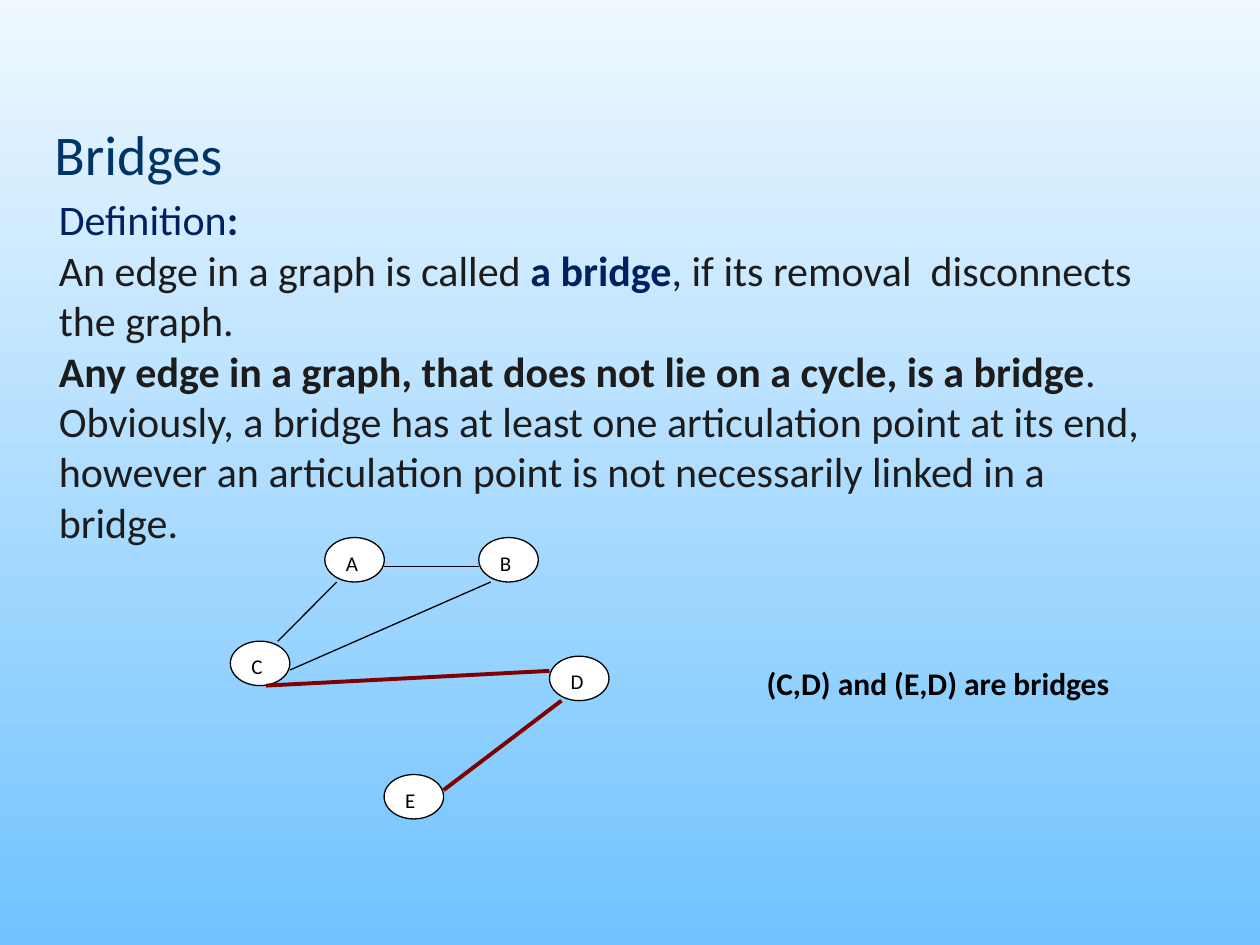
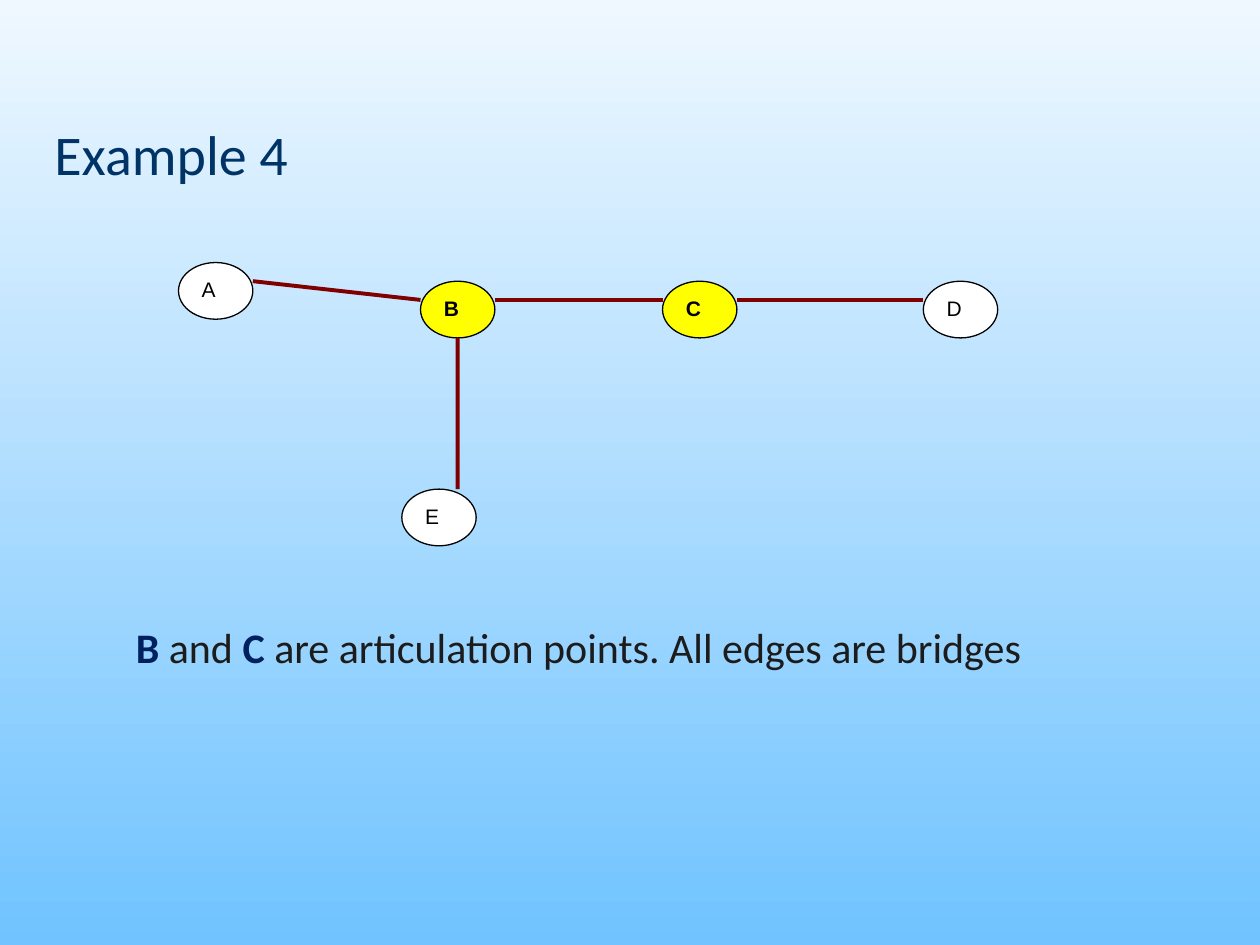
from dataclasses import dataclass

from lxml.etree import SubElement
from pptx import Presentation
from pptx.dml.color import RGBColor
from pptx.enum.shapes import MSO_CONNECTOR, MSO_SHAPE
from pptx.enum.text import MSO_ANCHOR, PP_ALIGN
from pptx.oxml.ns import qn
from pptx.util import Pt


@dataclass(frozen=True)
class Theme:
    sky_top: str = "EFF8FF"
    sky_bottom: str = "70C3FF"
    title: str = "003366"
    term: str = "002060"
    body: str = "1C1C1C"
    ink: str = "000000"
    bridge: str = "800000"
    node: str = "FFFFFF"
    articulation: str = "FFFF00"
    font: str = "Calibri"
    title_size: int = 32
    body_size: int = 24
    label_size: int = 18
    node_size: int = 12
    thin: float = 0.75
    thick: float = 2.25


theme = Theme()


def write_text(shape, paragraphs, size, font=theme.font, anchor=MSO_ANCHOR.TOP, wrap=True):
    """Fill a shape with paragraphs, each a list of (text, colour, bold) runs."""
    frame = shape.text_frame
    frame.word_wrap = wrap
    frame.vertical_anchor = anchor
    for index, runs in enumerate(paragraphs):
        paragraph = frame.add_paragraph() if index else frame.paragraphs[0]
        paragraph.alignment = PP_ALIGN.LEFT
        for text, colour, bold in runs:
            run = paragraph.add_run()
            run.text = text
            run.font.name = font
            run.font.size = Pt(size)
            run.font.bold = bold
            run.font.color.rgb = RGBColor.from_string(colour)


def draw_graph(slide, nodes, edges, node_size, font, marked=()):
    """Draw named nodes; an edge joins points given as fractions of its two nodes."""
    width, height = node_size
    for name, (left, top) in nodes.items():
        shape = slide.shapes.add_shape(
            MSO_SHAPE.OVAL, Pt(left), Pt(top), Pt(width), Pt(height))
        shape.shadow.inherit = False
        shape.fill.solid()
        shape.fill.fore_color.rgb = RGBColor.from_string(
            theme.articulation if name in marked else theme.node)
        shape.line.color.rgb = RGBColor.from_string(theme.ink)
        shape.line.width = Pt(theme.thin)
        write_text(shape, [[(name, theme.ink, name in marked)]], theme.node_size, font=font)

    for start, start_at, end, end_at, is_bridge in edges:
        points = [
            Pt(nodes[name][axis] + at[axis] * node_size[axis])
            for name, at in ((start, start_at), (end, end_at))
            for axis in (0, 1)
        ]
        connector = slide.shapes.add_connector(MSO_CONNECTOR.STRAIGHT, *points)
        connector.line.color.rgb = RGBColor.from_string(
            theme.bridge if is_bridge else theme.ink)
        connector.line.width = Pt(theme.thick if is_bridge else theme.thin)
        SubElement(connector._element.spPr, qn("a:effectLst"))


presentation = Presentation()
presentation.slide_width = Pt(720)
presentation.slide_height = Pt(540)

# Shared background and title
slides = []
for title in ("Bridges", "Example 4"):
    slide = presentation.slides.add_slide(presentation.slide_layouts[6])
    fill = slide.background.fill
    fill.gradient()
    fill.gradient_angle = 270
    for stop, colour in zip(fill.gradient_stops, (theme.sky_top, theme.sky_bottom)):
        stop.color.rgb = RGBColor.from_string(colour)
    box = slide.shapes.add_textbox(Pt(24), Pt(63.5), Pt(660), Pt(48))
    write_text(box, [[(title, theme.title, False)]], theme.title_size,
               anchor=MSO_ANCHOR.MIDDLE)
    slides.append(slide)
bridges_slide, example_slide = slides

# Bridges: definition
definition = bridges_slide.shapes.add_textbox(Pt(26.6), Pt(107.3), Pt(648), Pt(209))
write_text(definition, [
    [("Definition", theme.term, False), (":", theme.term, True)],
    [("An edge in a graph is called ", theme.body, False),
     ("a bridge", theme.term, True),
     (", if its removal  disconnects the graph.", theme.body, False)],
    [("Any edge in a graph, that does not lie on a cycle, is a bridge", theme.body, True),
     (".", theme.body, False)],
    [("Obviously, a bridge has at least one articulation point at its end, "
      "however an articulation point is not necessarily linked in a bridge.",
      theme.body, False)],
], theme.body_size)

# Bridges: graph with a cycle and two bridges
draw_graph(
    bridges_slide,
    nodes={"A": (185.6, 307.2), "B": (273.6, 307.2), "C": (131.6, 366.4),
           "D": (314, 375), "E": (219.5, 442.6)},
    edges=[
        ("A", (1, 0.65), "B", (0, 0.65), False),
        ("C", (0.8, 0), "A", (0.2, 1), False),
        ("C", (1, 0.65), "B", (0.2, 1), False),
        ("C", (0.6, 1), "D", (0, 0.33), True),
        ("D", (0.2, 1), "E", (1, 0.35), True),
    ],
    node_size=(34, 25.4),
    font=theme.font,
)
label = bridges_slide.shapes.add_textbox(Pt(431), Pt(376), Pt(264), Pt(29))
write_text(label, [[("(C,D) and (E,D) are bridges", theme.ink, True)]], theme.label_size)

# Example 4: tree whose edges are all bridges
draw_graph(
    example_slide,
    nodes={"A": (102, 150), "B": (240.3, 160.7), "C": (378.6, 160.7),
           "D": (527.6, 160.7), "E": (229.6, 279.5)},
    edges=[
        ("A", (1, 0.33), "B", (0, 0.33), True),
        ("B", (1, 0.33), "C", (0, 0.33), True),
        ("C", (1, 0.33), "D", (0, 0.33), True),
        ("B", (0.5, 1), "E", (0.75, 0), True),
    ],
    node_size=(42.5, 32.4),
    font="Arial",
    marked=("B", "C"),
)

# Example 4: conclusion
conclusion = example_slide.shapes.add_textbox(Pt(70.5), Pt(351.5), Pt(527), Pt(36))
write_text(conclusion, [[
    ("B", theme.term, True),
    (" and ", theme.body, False),
    ("C", theme.term, True),
    (" are articulation points. All edges are bridges", theme.body, False),
]], theme.body_size, anchor=MSO_ANCHOR.MIDDLE, wrap=False)

presentation.save("out.pptx")
